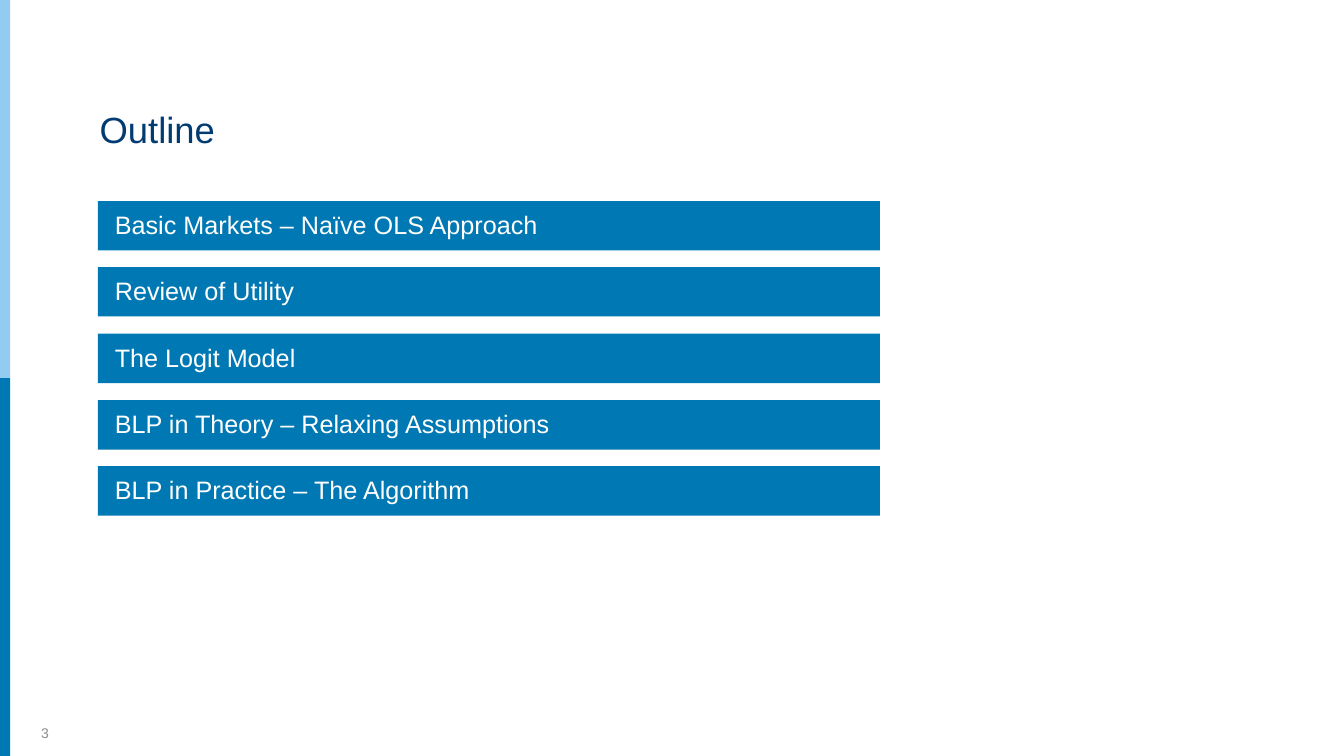
from pptx import Presentation
from pptx.dml.color import RGBColor
from pptx.enum.shapes import MSO_SHAPE
from pptx.enum.text import MSO_ANCHOR
from pptx.util import Pt

RECTANGLE = MSO_SHAPE.RECTANGLE
MIDDLE, BOTTOM = MSO_ANCHOR.MIDDLE, MSO_ANCHOR.BOTTOM

PX = 9144  # EMU per px, 100 px to the inch
COLORS = {
    "blue": "0078B3",
    "sky": "92CCF0",
    "navy": "003B71",
    "gray": "8C8C8C",
    "white": "FFFFFF",
}
TOPICS = [
    "Basic Markets – Naïve OLS Approach",
    "Review of Utility",
    "The Logit Model",
    "BLP in Theory – Relaxing Assumptions",
    "BLP in Practice – The Algorithm",
]

deck = Presentation()
deck.slide_width = 2667 * PX
deck.slide_height = 1500 * PX
slide = deck.slides.add_slide(deck.slide_layouts[6])


def add_bar(left, top, width, height, color):
    bar = slide.shapes.add_shape(
        RECTANGLE, left * PX, top * PX, width * PX, height * PX)
    bar.shadow.inherit = False
    bar.fill.solid()
    bar.fill.fore_color.rgb = RGBColor.from_string(COLORS[color])
    bar.line.fill.background()


def add_label(text, left, top, width, height, size, color, anchor):
    """Add a one-paragraph Arial text box and return its paragraph."""
    frame = slide.shapes.add_textbox(
        left * PX, top * PX, width * PX, height * PX).text_frame
    frame.word_wrap = True
    frame.vertical_anchor = anchor
    frame.text = text
    paragraph = frame.paragraphs[0]
    font = paragraph.runs[0].font
    font.name = "Arial"
    font.size = Pt(size)
    font.color.rgb = RGBColor.from_string(COLORS[color])
    return paragraph


# Two-tone stripe along the left edge
add_bar(0, 750, 20, 750, "blue")
add_bar(0, 0, 20, 750, "sky")

# Topic bars at an equal pitch
first_top, last_top = 399, 925
pitch = (last_top - first_top) / (len(TOPICS) - 1)
for index, topic in enumerate(TOPICS):
    top = round(first_top + index * pitch)
    add_bar(194, top, 1552, 98, "blue")
    add_label(topic, 218, top + 11, 1495, 71, 36, "white", MIDDLE)

# Title and page number
title = add_label("Outline", 188, 169, 2283, 184, 52, "navy", MIDDLE)
title.line_spacing = 0.9
add_label("3", 72, 1396, 1776, 80, 20, "gray", BOTTOM)

deck.save("out.pptx")
